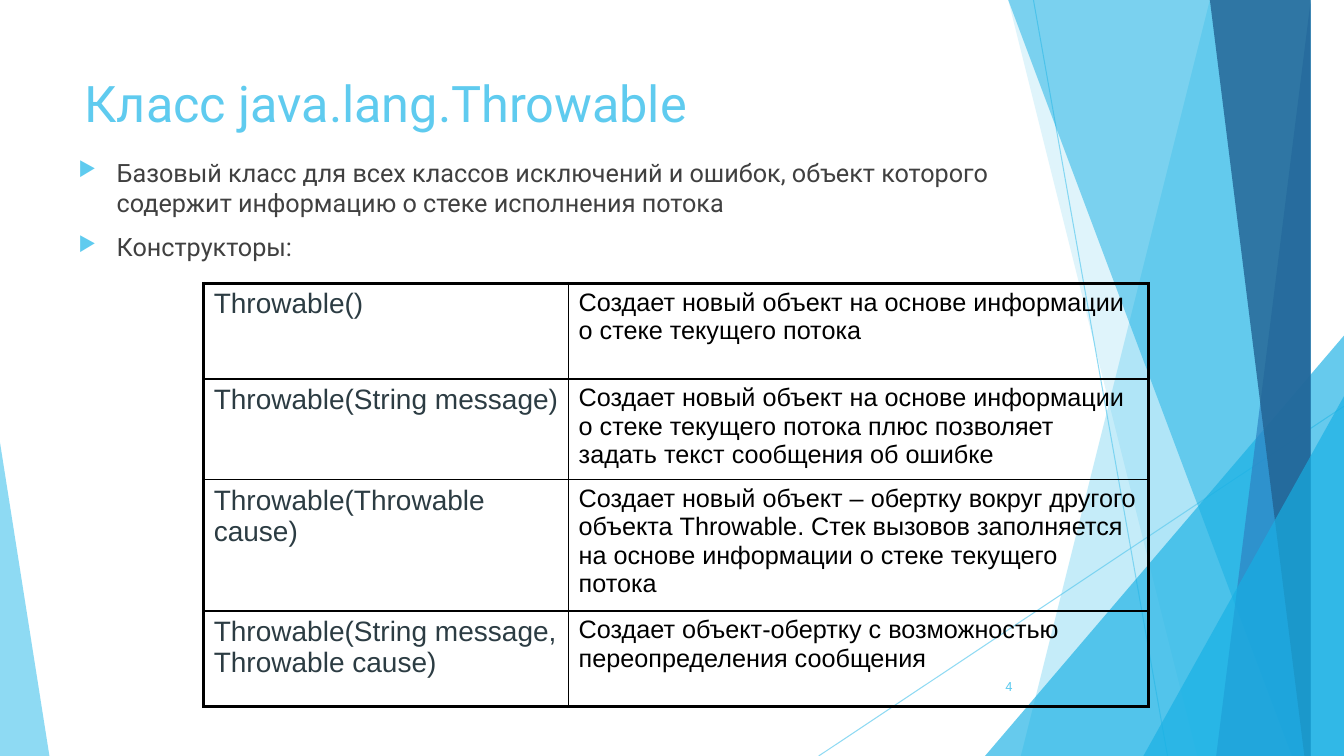
from lxml import etree
from pptx import Presentation
from pptx.dml.color import RGBColor
from pptx.enum.shapes import MSO_CONNECTOR, MSO_SHAPE
from pptx.enum.text import MSO_ANCHOR, PP_ALIGN
from pptx.oxml.ns import qn
from pptx.util import Inches, Pt

STRAIGHT = MSO_CONNECTOR.STRAIGHT
TRIANGLE = MSO_SHAPE.ISOSCELES_TRIANGLE
TOP, MIDDLE = MSO_ANCHOR.TOP, MSO_ANCHOR.MIDDLE
LEFT, RIGHT = PP_ALIGN.LEFT, PP_ALIGN.RIGHT

SKY = RGBColor(0x5F, 0xCB, 0xEF)
CYAN = RGBColor(0x17, 0xB0, 0xE4)
BLUE = RGBColor(0x2E, 0x83, 0xC3)
NAVY = RGBColor(0x22, 0x62, 0x92)
GREY = RGBColor(0x40, 0x40, 0x40)
SLATE = RGBColor(0x2C, 0x3C, 0x43)
BLACK = RGBColor(0, 0, 0)

WIDTH, HEIGHT = 13.33, 7.5
TITLE = "Класс java.lang.Throwable"
BULLETS = [
    "Базовый класс для всех классов исключений и ошибок, объект которого "
    "содержит информацию о стеке исполнения потока",
    "Конструкторы:",
]
PAGE_NUMBER = "4"
CONSTRUCTORS = [
    ("Throwable()",
     "Создает новый объект на основе информации о стеке текущего потока"),
    ("Throwable(String message)",
     "Создает новый объект на основе информации о стеке текущего потока плюс "
     "позволяет задать текст сообщения об ошибке"),
    ("Throwable(Throwable cause)",
     "Создает новый объект – обертку вокруг другого объекта Throwable. Стек вызовов "
     "заполняется на основе информации о стеке текущего потока"),
    ("Throwable(String message, Throwable cause)",
     "Создает объект-обертку с возможностью переопределения сообщения"),
]
COLUMN_WIDTHS = (3.62, 5.75)
ROW_HEIGHTS = (0.95, 0.95, 1.22, 0.95)
COLUMN_STYLES = ((20, SLATE), (18, BLACK))

RAYS = [((10.25, 0), (11.58, HEIGHT)), ((WIDTH, 4.03), (8.12, HEIGHT))]
# Bands: top x, bottom x. Triangles: left, top, width, apex position.
FACETS = [
    ("band", (12.28, 10.04), SKY, 36),
    ("band", (10.5, 11.83), SKY, 20),
    ("triangle", (9.77, 3.33, 3.56, 1), CYAN, 66),
    ("band", (10.21, 12.91), CYAN, 50),
    ("band", (13.03, 11.92), BLUE, 70),
    ("band", (11.96, 13.18), NAVY, 80),
    ("triangle", (11.34, 3.93, 1.99, 1), CYAN, 66),
    ("triangle", (0, 4.39, 0.49, 0), SKY, 70),
]


def set_opacity(element, percent):
    color = next(element.iter(qn("a:srgbClr")))
    etree.SubElement(color, qn("a:alpha")).set("val", str(percent * 1000))


def add_ray(page, start, end):
    ray = page.shapes.add_connector(STRAIGHT, *map(Inches, start + end))
    ray.line.color.rgb = SKY
    ray.line.width = Pt(0.75)
    properties = ray._element.spPr
    set_opacity(properties, 70)
    etree.SubElement(properties, qn("a:effectLst"))


def add_facet(page, kind, geometry, color, opacity):
    if kind == "band":
        top_x, bottom_x = geometry
        builder = page.shapes.build_freeform(top_x, 0, scale=Inches(1))
        builder.add_line_segments([(WIDTH, 0), (WIDTH, HEIGHT), (bottom_x, HEIGHT)])
        facet = builder.convert_to_shape()
    else:
        left, top, width, apex = geometry
        facet = page.shapes.add_shape(
            TRIANGLE, *map(Inches, (left, top, width, HEIGHT - top)))
        facet.adjustments[0] = apex
    facet.shadow.inherit = False
    facet.fill.solid()
    facet.fill.fore_color.rgb = color
    set_opacity(facet._element.spPr, opacity)
    facet.line.fill.background()


def format_para(para, size, font, color):
    for span in para.runs:
        span.font.size = Pt(size)
        span.font.name = font
        span.font.color.rgb = color


def add_text(page, place, lines, size, color, anchor=TOP, align=LEFT):
    box = page.shapes.add_textbox(*map(Inches, place))
    frame = box.text_frame
    frame.word_wrap = True
    frame.vertical_anchor = anchor
    frame.text = "\n".join(lines)
    for para in frame.paragraphs:
        para.alignment = align
        format_para(para, size, "Roboto", color)
    return frame


def add_bullet(para):
    para.space_before = Pt(10)
    properties = para._p.get_or_add_pPr()
    properties.set("marL", str(Inches(0.38)))
    properties.set("indent", str(-Inches(0.38)))
    color = etree.SubElement(properties, qn("a:buClr"))
    etree.SubElement(color, qn("a:srgbClr")).set("val", str(SKY))
    etree.SubElement(properties, qn("a:buSzPct")).set("val", "80000")
    etree.SubElement(properties, qn("a:buChar")).set("char", "▶")


def set_borders(cell, widths):
    properties = cell._tc.get_or_add_tcPr()
    for position, (side, width) in enumerate(widths.items()):
        border = etree.Element(qn("a:ln" + side), w=str(Pt(width)))
        fill = etree.SubElement(border, qn("a:solidFill"))
        etree.SubElement(fill, qn("a:srgbClr")).set("val", str(BLACK))
        properties.insert(position, border)


def add_constructor_table(page):
    rows, columns = len(CONSTRUCTORS), len(COLUMN_WIDTHS)
    table = page.shapes.add_table(
        rows, columns, Inches(2.02), Inches(2.81),
        Inches(sum(COLUMN_WIDTHS)), Inches(sum(ROW_HEIGHTS))).table
    table.first_row = table.horz_banding = False
    for column, width in zip(table.columns, COLUMN_WIDTHS):
        column.width = Inches(width)
    for r, (row, texts) in enumerate(zip(table.rows, CONSTRUCTORS)):
        row.height = Inches(ROW_HEIGHTS[r])
        for c, (cell, text) in enumerate(zip(row.cells, texts)):
            cell.text = text
            size, color = COLUMN_STYLES[c]
            format_para(cell.text_frame.paragraphs[0], size, "Arial", color)
            cell.fill.background()
            outer = {"L": c == 0, "R": c == columns - 1,
                     "T": r == 0, "B": r == rows - 1}
            set_borders(cell, {side: 2.25 if edge else 1
                               for side, edge in outer.items()})


def main():
    deck = Presentation()
    deck.slide_width, deck.slide_height = Inches(WIDTH), Inches(HEIGHT)
    page = deck.slides.add_slide(deck.slide_layouts[6])
    for start, end in RAYS:
        add_ray(page, start, end)
    for facet in FACETS:
        add_facet(page, *facet)
    add_text(page, (9.39, 6.61, 0.75, 0.4), [PAGE_NUMBER], 9, SKY, MIDDLE, RIGHT)
    add_text(page, (0.74, 0.67, 9.4, 1.44), [TITLE], 36, SKY)
    body = add_text(page, (0.68, 1.51, 9.4, 4.24), BULLETS, 18, GREY)
    for para in body.paragraphs:
        add_bullet(para)
    add_constructor_table(page)
    deck.save("out.pptx")


if __name__ == "__main__":
    main()
